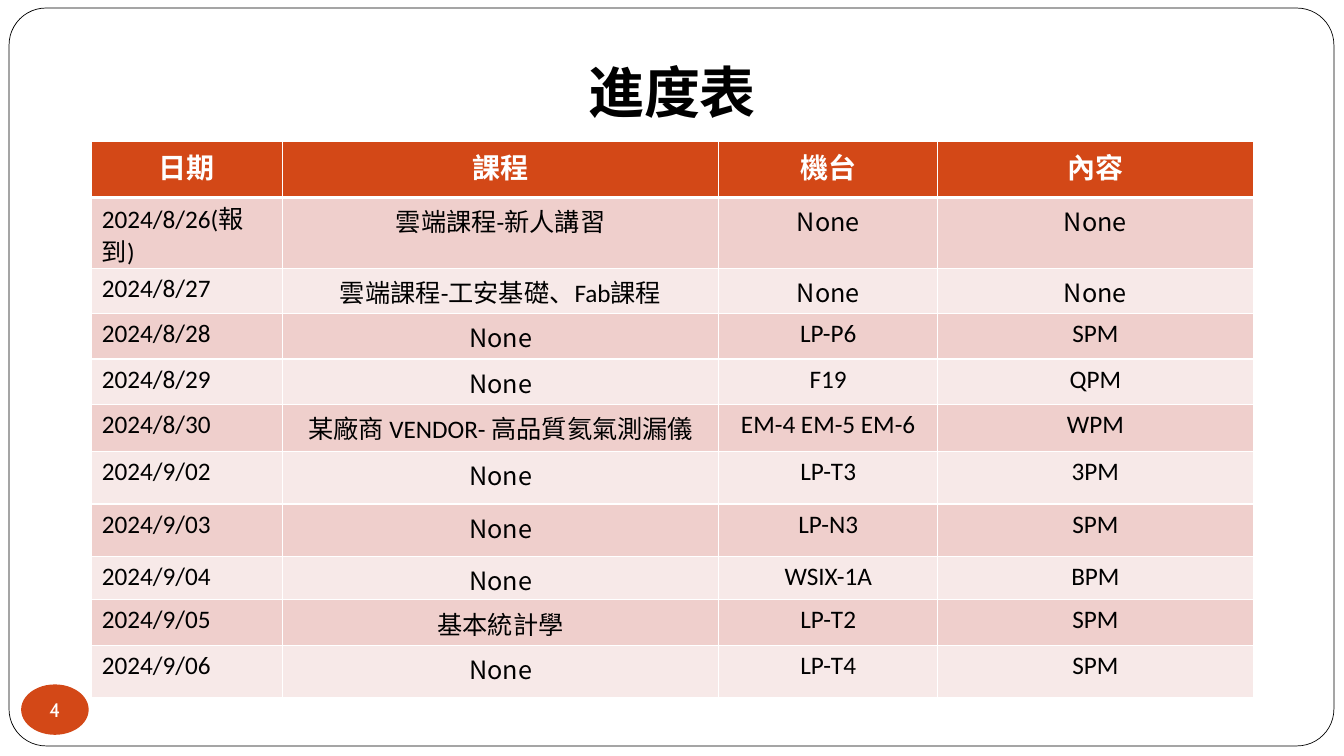
from lxml import etree
from pptx import Presentation
from pptx.dml.color import RGBColor
from pptx.enum.shapes import MSO_SHAPE as Shape
from pptx.enum.text import MSO_ANCHOR as Anchor, PP_ALIGN as Align
from pptx.oxml.ns import qn
from pptx.util import Pt

PX = 9144  # EMU per px, 100 px to the inch

WHITE = RGBColor(0xFF, 0xFF, 0xFF)
BLACK = RGBColor(0x00, 0x00, 0x00)
ORANGE = RGBColor(0xD3, 0x48, 0x17)
BANDS = (RGBColor(0xEF, 0xCF, 0xCC), RGBColor(0xF7, 0xE9, 0xE8))

LATIN = "Calibri"
CJK = "Noto Sans CJK SC"
NUMBER_FONT = "Cabin"

COLUMN_WIDTHS = (189, 433, 217, 313)
ROW_HEIGHTS = (56, 45, 45, 45, 45, 47, 52, 52, 43, 45, 52)
HEADINGS = ("日期", "課程", "機台", "內容")
SCHEDULE = (
    ("2024/8/26(報到)", "雲端課程-新人講習", "None", "None"),
    ("2024/8/27", "雲端課程-工安基礎、Fab課程", "None", "None"),
    ("2024/8/28", "None", "LP-P6", "SPM"),
    ("2024/8/29", "None", "F19", "QPM"),
    ("2024/8/30", "某廠商 VENDOR- 高品質氦氣測漏儀", "EM-4 EM-5 EM-6", "WPM"),
    ("2024/9/02", "None", "LP-T3", "3PM"),
    ("2024/9/03", "None", "LP-N3", "SPM"),
    ("2024/9/04", "None", "WSIX-1A", "BPM"),
    ("2024/9/05", "基本統計學", "LP-T2", "SPM"),
    ("2024/9/06", "None", "LP-T4", "SPM"),
)


def emu(box):
    return [length * PX for length in box]


def write(frame, text, size, color, font=LATIN, bold=False, align=Align.CENTER):
    frame.text = text
    paragraph = frame.paragraphs[0]
    paragraph.alignment = align
    style = paragraph.font
    style.name, style.size, style.bold = font, Pt(size), bold
    style.color.rgb = color
    # East Asian typeface
    defaults = paragraph._p.pPr.find(qn("a:defRPr"))
    etree.SubElement(defaults, qn("a:ea")).set("typeface", CJK)


def add_frame(slide, box):
    border = slide.shapes.add_shape(Shape.ROUNDED_RECTANGLE, *emu(box))
    border.adjustments[0] = 0.05
    border.shadow.inherit = False
    border.fill.solid()
    border.fill.fore_color.rgb = WHITE
    border.line.color.rgb = BLACK
    border.line.width = Pt(0.5)
    # Keep the frame behind the title
    slide.shapes.title._element.addprevious(border._element)


def add_page_number(slide, box, number):
    badge = slide.shapes.add_shape(Shape.OVAL, *emu(box))
    badge.shadow.inherit = False
    badge.fill.solid()
    badge.fill.fore_color.rgb = ORANGE
    badge.line.fill.background()
    frame = badge.text_frame
    frame.margin_left = frame.margin_right = 0
    frame.margin_top = frame.margin_bottom = 0
    frame.word_wrap = False
    frame.vertical_anchor = Anchor.MIDDLE
    write(frame, number, 14, WHITE, NUMBER_FONT)


def place_title(slide, box, text):
    title = slide.shapes.title
    title.left, title.top, title.width, title.height = emu(box)
    title.text_frame.vertical_anchor = Anchor.TOP
    write(title.text_frame, text, 40, BLACK, CJK, bold=True)


def fill_cell(cell, fill, text, *args, **kwargs):
    cell.fill.solid()
    cell.fill.fore_color.rgb = fill
    write(cell.text_frame, text, *args, **kwargs)


def underline_cell(cell, width, color):
    rule = etree.Element(qn("a:lnB"), w=str(Pt(width)))
    fill = etree.SubElement(rule, qn("a:solidFill"))
    etree.SubElement(fill, qn("a:srgbClr")).set("val", str(color))
    cell._tc.get_or_add_tcPr().insert(0, rule)


def add_schedule(slide, left, top):
    box = (left, top, sum(COLUMN_WIDTHS), sum(ROW_HEIGHTS))
    table = slide.shapes.add_table(
        len(ROW_HEIGHTS), len(COLUMN_WIDTHS), *emu(box)).table
    for column, width in zip(table.columns, COLUMN_WIDTHS):
        column.width = width * PX
    for row, height in zip(table.rows, ROW_HEIGHTS):
        row.height = height * PX

    # Header row
    for index, heading in enumerate(HEADINGS):
        cell = table.cell(0, index)
        fill_cell(cell, ORANGE, heading, 20, WHITE, bold=True)
        underline_cell(cell, 3, WHITE)

    # One banded row per day, dates on the left
    for day, entries in enumerate(SCHEDULE):
        for index, entry in enumerate(entries):
            cell = table.cell(day + 1, index)
            cell.margin_bottom = 0
            fill_cell(cell, BANDS[day % 2], entry, 18, BLACK,
                      font=CJK if entry == "None" else LATIN,
                      align=Align.CENTER if index else Align.LEFT)

    # The first date wraps onto two lines
    table.cell(1, 0).text_frame.paragraphs[0].line_spacing = 0.9


def main():
    deck = Presentation()
    deck.slide_width, deck.slide_height = emu((1333, 750))
    slide = deck.slides.add_slide(deck.slide_layouts[5])
    add_frame(slide, (9, 8, 1314, 732))
    add_page_number(slide, (21, 679, 67, 50), "4")
    place_title(slide, (239, 52, 855, 77), "進度表")
    add_schedule(slide, 91, 140)
    deck.save("out.pptx")


if __name__ == "__main__":
    main()
